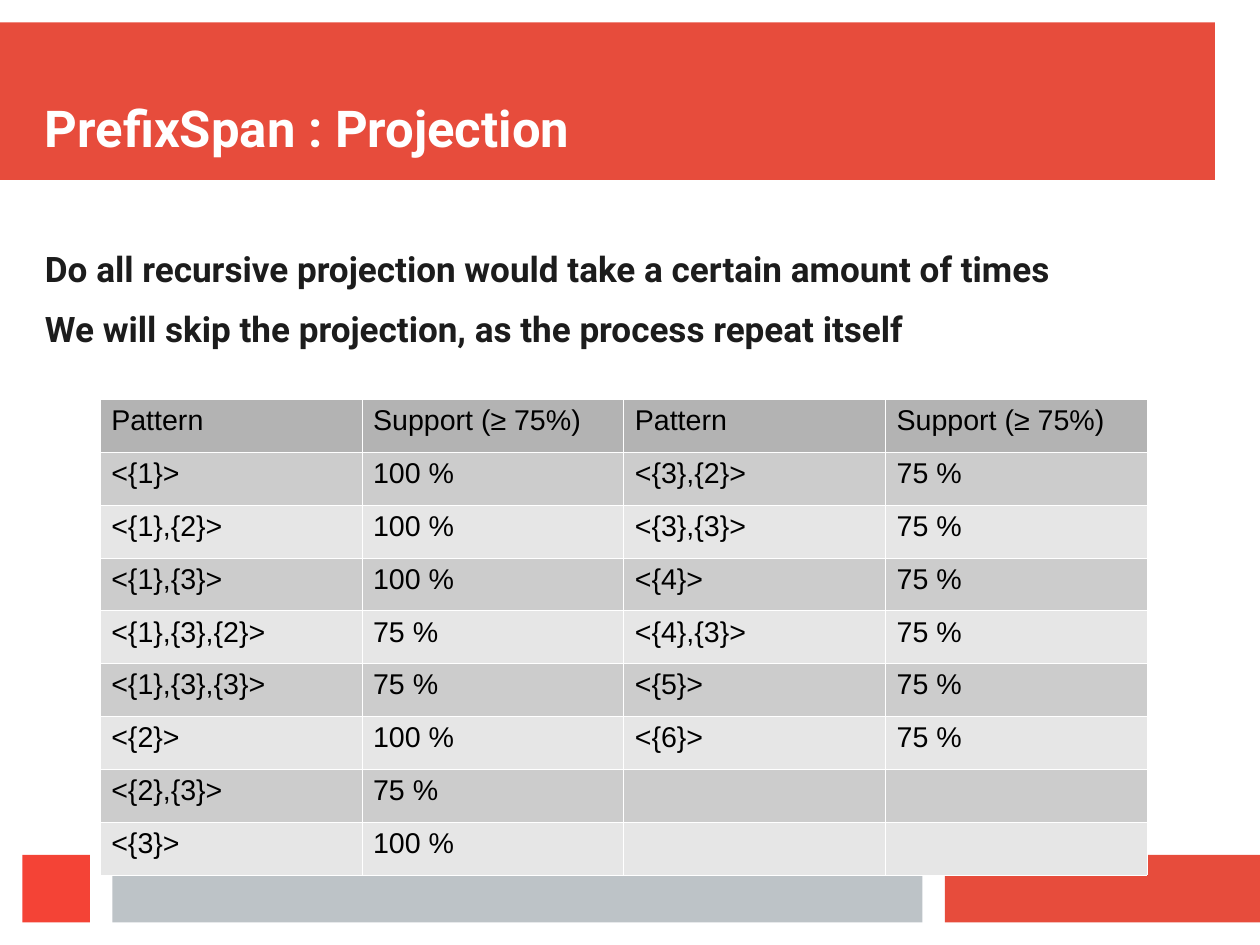
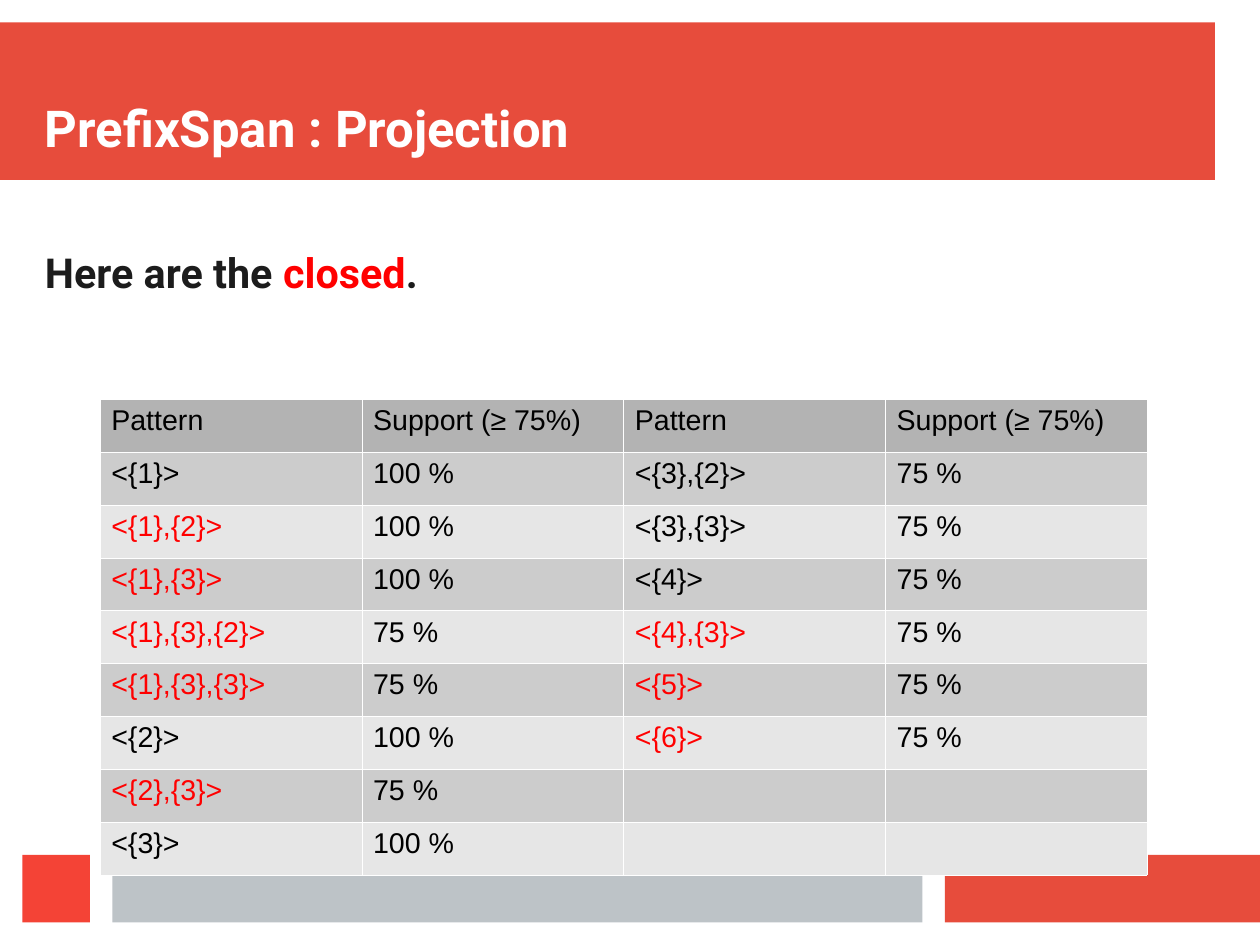
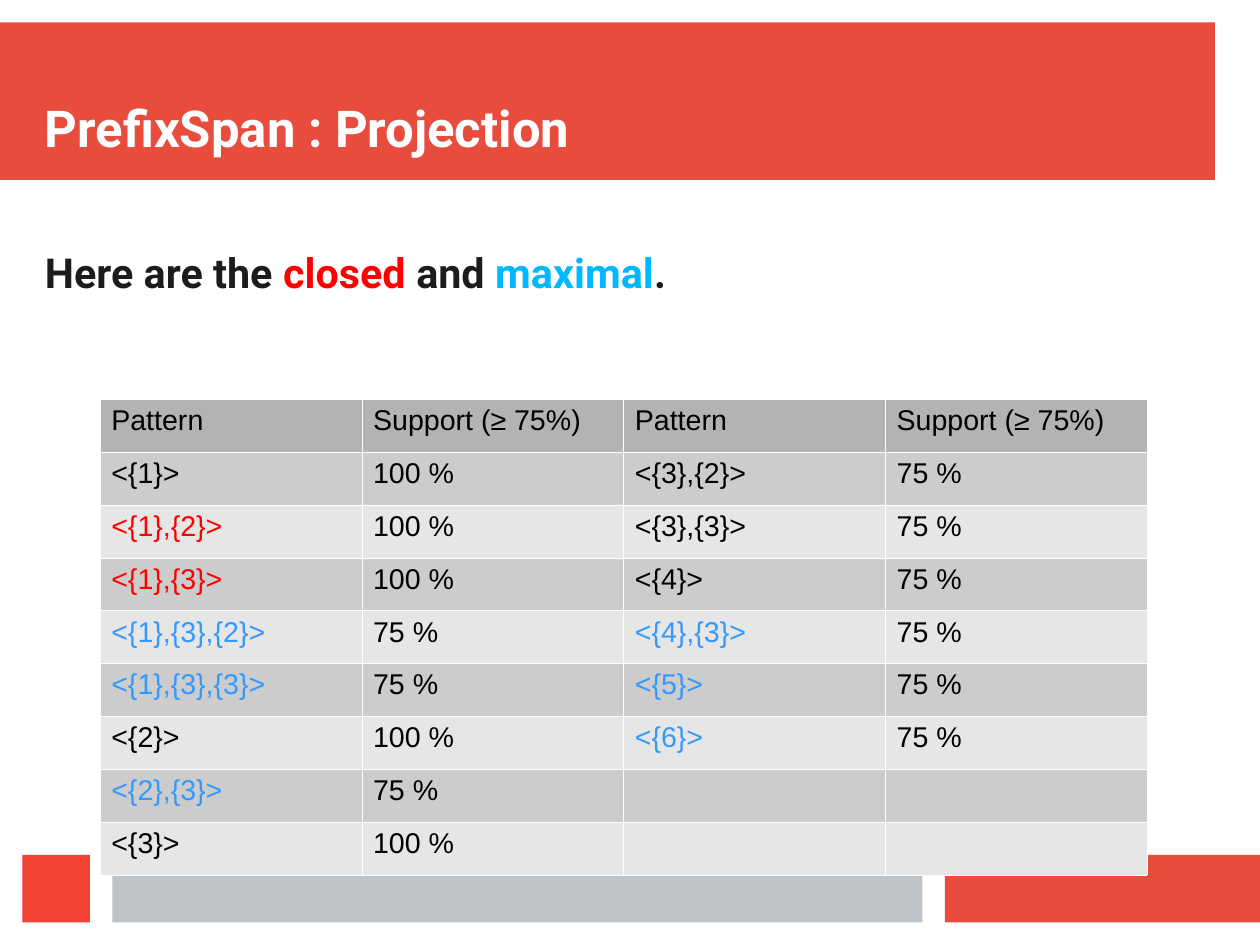
"""Builds three slides on the patterns found by PrefixSpan."""
from dataclasses import dataclass, field

from lxml.etree import SubElement as Sub
from pptx import Presentation as Deck
from pptx.dml.color import RGBColor as Rgb
from pptx.enum.shapes import MSO_SHAPE as Kind
from pptx.enum.text import MSO_ANCHOR as Anchor
from pptx.oxml.ns import qn
from pptx.slide import Slide
from pptx.table import _Cell as Cell
from pptx.text.text import Font, TextFrame as Frame
from pptx.util import Cm, Pt

CORAL = Rgb(0xE7, 0x4C, 0x3C)
SCARLET = Rgb(0xF4, 0x43, 0x36)
SILVER = Rgb(0xBD, 0xC3, 0xC7)
WHITE = Rgb(0xFF, 0xFF, 0xFF)
BLACK = Rgb(0x00, 0x00, 0x00)
INK = Rgb(0x1C, 0x1C, 0x1C)
RED = Rgb(0xFF, 0x00, 0x00)
SKY = Rgb(0x00, 0xB8, 0xFF)
BLUE = Rgb(0x33, 0x99, 0xFF)
HEAD = Rgb(0xB3, 0xB3, 0xB3)
BANDS = (Rgb(0xE6, 0xE6, 0xE6), Rgb(0xCC, 0xCC, 0xCC))

TITLE = "PrefixSpan : Projection"
ROWS = (
    ("Pattern", "Support (≥ 75%)", "Pattern", "Support (≥ 75%)"),
    ("<{1}>", "100 %", "<{3},{2}>", "75 %"),
    ("<{1},{2}>", "100 %", "<{3},{3}>", "75 %"),
    ("<{1},{3}>", "100 %", "<{4}>", "75 %"),
    ("<{1},{3},{2}>", "75 %", "<{4},{3}>", "75 %"),
    ("<{1},{3},{3}>", "75 %", "<{5}>", "75 %"),
    ("<{2}>", "100 %", "<{6}>", "75 %"),
    ("<{2},{3}>", "75 %", "", ""),
    ("<{3}>", "100 %", "", ""),
)
MAXIMAL = ("<{1},{3},{2}>", "<{1},{3},{3}>", "<{2},{3}>", "<{4},{3}>", "<{5}>", "<{6}>")
CLOSED = ("<{1},{2}>", "<{1},{3}>") + MAXIMAL


@dataclass(frozen=True)
class Box:
    """A place on the slide, in centimetres."""
    left: float
    top: float
    width: float
    height: float

    def place(self) -> tuple[Cm, Cm, Cm, Cm]:
        """Gives the place as lengths."""
        return Cm(self.left), Cm(self.top), Cm(self.width), Cm(self.height)


@dataclass(frozen=True)
class Span:
    """A piece of text in one colour."""
    text: str
    color: Rgb = INK


@dataclass(frozen=True)
class Page:
    """The lines of a slide and the colours of its patterns."""
    lines: tuple[tuple[Span, ...], ...]
    size: float
    marks: dict[str, Rgb] = field(default_factory=dict)


BLOCKS = (
    (Box(0, 0.5, 27, 3.5), CORAL),
    (Box(21, 19, 7, 1.5), CORAL),
    (Box(2.5, 19, 18, 1.5), SILVER),
    (Box(0.5, 19, 1.5, 1.5), SCARLET),
)
TITLE_BOX = Box(1, 1, 26, 2.5)
BODY_BOX = Box(1, 5.5, 25.5, 3.3)
GRID_BOX = Box(2.22, 8.87, 23.27, 10.57)

PAGES = (
    Page((
        (Span("Do all recursive projection would take a certain amount of times"),),
        (Span("We will skip the projection, as the process repeat itself"),),
    ), 22.1),
    Page((
        (Span("Here are the "), Span("closed", RED), Span(".")),
    ), 26, dict.fromkeys(CLOSED, RED)),
    Page((
        (Span("Here are the "), Span("closed", RED), Span(" and "),
         Span("maximal", SKY), Span(".")),
    ), 26, dict.fromkeys(CLOSED, RED) | dict.fromkeys(MAXIMAL, BLUE)),
)


def style(font: Font, name: str, size: float, color: Rgb, bold: bool) -> None:
    """Sets the look of a font."""
    font.name, font.size, font.bold = name, Pt(size), bold
    font.color.rgb = color


def add_block(slide: Slide, box: Box, color: Rgb) -> None:
    """Draws a plain filled rectangle."""
    block = slide.shapes.add_shape(Kind.RECTANGLE, *box.place())
    block.shadow.inherit = False
    block.fill.solid()
    block.fill.fore_color.rgb = color
    block.line.fill.background()


def add_frame(slide: Slide, box: Box, anchor: Anchor) -> Frame:
    """Adds a wrapping text box without margins."""
    frame = slide.shapes.add_textbox(*box.place()).text_frame
    frame.word_wrap = True
    frame.vertical_anchor = anchor
    frame.margin_left = frame.margin_right = frame.margin_top = frame.margin_bottom = Cm(0)
    return frame


def add_title(slide: Slide) -> None:
    """Writes the title in the band."""
    line = add_frame(slide, TITLE_BOX, Anchor.BOTTOM).paragraphs[0]
    line.text = TITLE
    style(line.font, "Roboto", 32, WHITE, True)


def add_body(slide: Slide, page: Page) -> None:
    """Writes the lines above the table."""
    frame = add_frame(slide, BODY_BOX, Anchor.TOP)
    for index, spans in enumerate(page.lines):
        line = frame.add_paragraph() if index else frame.paragraphs[0]
        line.space_after = Pt(11.4)
        style(line.font, "Roboto", page.size, INK, True)
        for span in spans:
            run = line.add_run()
            run.text = span.text
            if span.color != INK:
                run.font.color.rgb = span.color


def add_edges(cell: Cell) -> None:
    """Gives a cell thin white borders."""
    props = cell._tc.get_or_add_tcPr()
    for side in ("a:lnL", "a:lnR", "a:lnT", "a:lnB"):
        edge = Sub(props, qn(side), w=str(Pt(0.06)))
        Sub(Sub(edge, qn("a:solidFill")), qn("a:srgbClr"), val=str(WHITE))


def add_grid(slide: Slide, marks: dict[str, Rgb]) -> None:
    """Draws the table of patterns."""
    grid = slide.shapes.add_table(len(ROWS), len(ROWS[0]), *GRID_BOX.place()).table
    grid.first_row = grid.horz_banding = False
    for row, texts in enumerate(ROWS):
        for col, text in enumerate(texts):
            cell = grid.cell(row, col)
            add_edges(cell)
            cell.fill.solid()
            cell.fill.fore_color.rgb = BANDS[row % 2] if row else HEAD
            line = cell.text_frame.paragraphs[0]
            line.text = text
            style(line.font, "Arial", 18, marks.get(text, BLACK), False)


def main() -> None:
    """Builds and saves the deck."""
    deck = Deck()
    deck.slide_width, deck.slide_height = Cm(28), Cm(21)
    for page in PAGES:
        slide = deck.slides.add_slide(deck.slide_layouts[6])
        for box, color in BLOCKS:
            add_block(slide, box, color)
        add_title(slide)
        add_body(slide, page)
        add_grid(slide, page.marks)
    deck.save("out.pptx")


if __name__ == "__main__":
    main()
